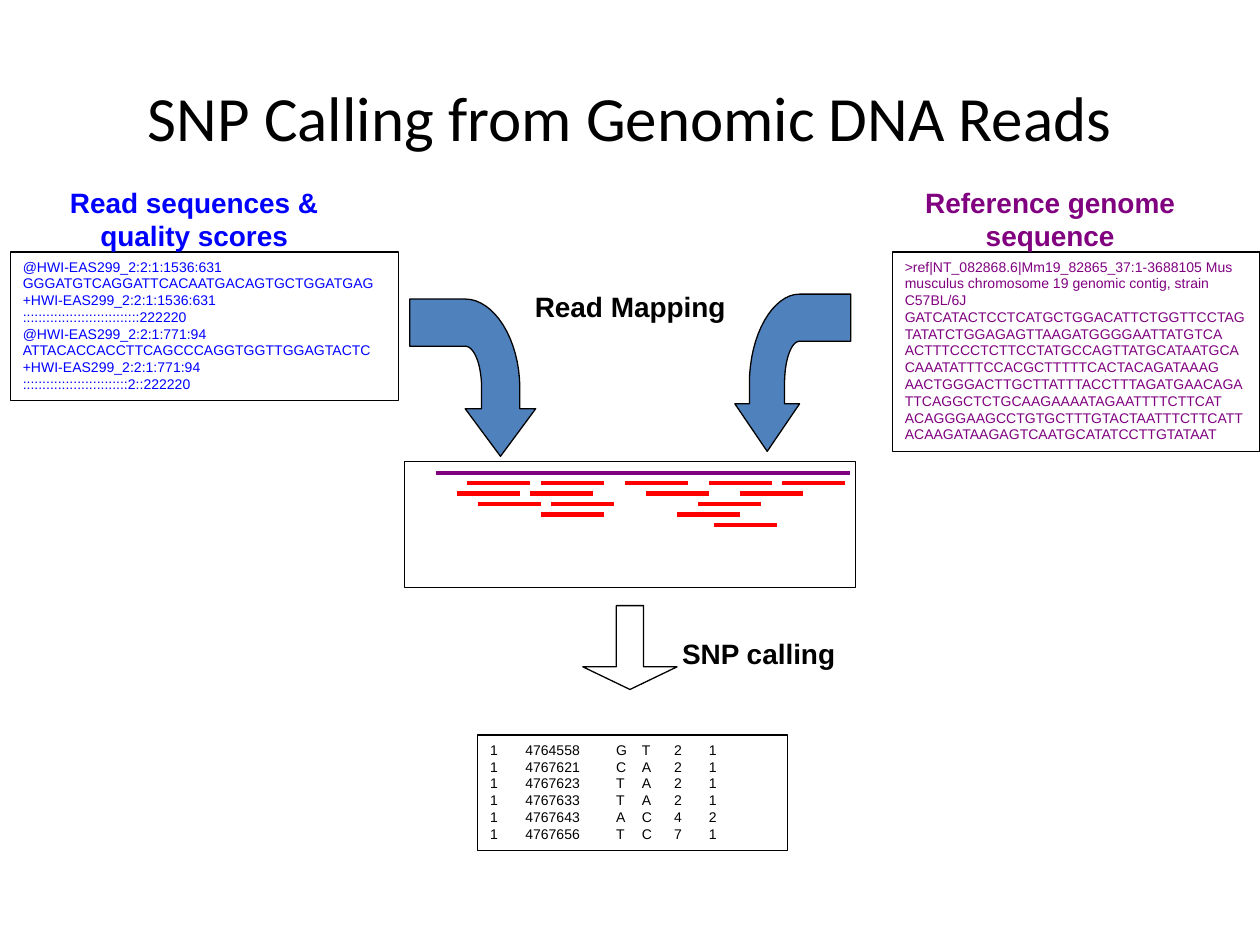
from dataclasses import dataclass

from lxml.etree import SubElement
from pptx import Presentation
from pptx.dml.color import RGBColor
from pptx.enum.shapes import MSO_CONNECTOR, MSO_SHAPE
from pptx.enum.text import MSO_ANCHOR, PP_ALIGN
from pptx.oxml.ns import qn
from pptx.util import Cm, Pt


@dataclass(frozen=True)
class Theme:
    black: RGBColor = RGBColor(0, 0, 0)
    white: RGBColor = RGBColor(255, 255, 255)
    reads: RGBColor = RGBColor(0, 0, 255)
    genome: RGBColor = RGBColor(128, 0, 128)
    mapped: RGBColor = RGBColor(255, 0, 0)
    arrow: RGBColor = RGBColor(0x4F, 0x81, 0xBD)
    title_font: str = "Calibri"
    body_font: str = "Arial"
    title_size: float = 36
    label_size: float = 16
    data_size: float = 8
    outline: float = 0.75
    strand: float = 2.5


@dataclass(frozen=True)
class Area:
    left: float
    top: float
    width: float
    height: float

    def lengths(self) -> tuple:
        return Cm(self.left), Cm(self.top), Cm(self.width), Cm(self.height)


@dataclass(frozen=True)
class Label:
    area: Area
    lines: tuple
    color: RGBColor


@dataclass(frozen=True)
class DataBox:
    area: Area
    lines: tuple
    color: RGBColor
    tabs: tuple = ()


@dataclass(frozen=True)
class BentArrow:
    left: float
    top: float
    stretch: float


THEME = Theme()

LABELS = (
    Label(Area(1.07, 3.61, 5.69, 1.63), ("Read sequences &", "quality scores"), THEME.reads),
    Label(Area(16.94, 3.61, 8.46, 1.63), ("Reference genome", "sequence"), THEME.genome),
    Label(Area(10.52, 5.72, 4.37, 0.94), ("Read Mapping",), THEME.black),
    Label(Area(13.49, 12.7, 3.61, 0.94), ("SNP calling",), THEME.black),
)

SNPS = (
    ("1", "4764558", "G", "T", "2", "1"),
    ("1", "4767621", "C", "A", "2", "1"),
    ("1", "4767623", "T", "A", "2", "1"),
    ("1", "4767633", "T", "A", "2", "1"),
    ("1", "4767643", "A", "C", "4", "2"),
    ("1", "4767656", "T", "C", "7", "1"),
)

DATA_BOXES = (
    DataBox(Area(0.21, 5.08, 7.83, 3.0), (
        "@HWI-EAS299_2:2:1:1536:631",
        "GGGATGTCAGGATTCACAATGACAGTGCTGGATGAG",
        "+HWI-EAS299_2:2:1:1536:631",
        "::::::::::::::::::::::::::::::222220",
        "@HWI-EAS299_2:2:1:771:94",
        "ATTACACCACCTTCAGCCCAGGTGGTTGGAGTACTC",
        "+HWI-EAS299_2:2:1:771:94",
        ":::::::::::::::::::::::::::2::222220",
    ), THEME.reads),
    DataBox(Area(17.99, 5.08, 7.41, 4.02), (
        ">ref|NT_082868.6|Mm19_82865_37:1-3688105 Mus musculus chromosome 19 genomic contig, strain C57BL/6J",
        "GATCATACTCCTCATGCTGGACATTCTGGTTCCTAGTATATCTGGAGAGTTAAGATGGGGAATTATGTCA",
        "ACTTTCCCTCTTCCTATGCCAGTTATGCATAATGCACAAATATTTCCACGCTTTTTCACTACAGATAAAG",
        "AACTGGGACTTGCTTATTTACCTTTAGATGAACAGATTCAGGCTCTGCAAGAAAATAGAATTTTCTTCAT",
        "ACAGGGAAGCCTGTGCTTTGTACTAATTTCTTCATTACAAGATAAGAGTCAATGCATATCCTTGTATAAT",
    ), THEME.genome),
    DataBox(Area(9.63, 14.82, 6.25, 2.32), tuple("\t".join(snp) for snp in SNPS),
            THEME.black, (0.71, 2.54, 3.06, 3.71, 4.41)),
)

READ_ROWS = (
    (9.42, 10.9, 12.59, 14.29, 15.77),
    (9.21, 10.69, 13.02, 14.92),
    (9.63, 11.11, 14.08),
    (10.9, 13.65),
    (14.39,),
)
READ_LENGTH = 1.27
ROW_STEP = 0.21
GENOME_Y = 9.53

BENT_ARROWS = (BentArrow(8.26, 6.03, 1), BentArrow(17.15, 5.93, -0.92))


def write_lines(box, lines: tuple, font: str, size: float, color: RGBColor,
                bold: bool = False, align=PP_ALIGN.LEFT, tabs: tuple = ()) -> None:
    frame = box.text_frame
    for index, line in enumerate(lines):
        para = frame.paragraphs[0] if index == 0 else frame.add_paragraph()
        para.alignment = align
        if tabs:
            stops = SubElement(para._p.get_or_add_pPr(), qn("a:tabLst"))
            for position in tabs:
                SubElement(stops, qn("a:tab"), pos=str(Cm(position)), algn="l")
        span = para.add_run()
        span.text = line
        span.font.name = font
        span.font.size = Pt(size)
        span.font.bold = bold
        span.font.color.rgb = color


def style_shape(shape, fill: RGBColor | None) -> None:
    shape.shadow.inherit = False
    if fill is None:
        shape.fill.background()
    else:
        shape.fill.solid()
        shape.fill.fore_color.rgb = fill
    shape.line.color.rgb = THEME.black
    shape.line.width = Pt(THEME.outline)


def add_outlined(page, kind, area: Area, fill: RGBColor | None = None):
    shape = page.shapes.add_shape(kind, *area.lengths())
    style_shape(shape, fill)
    return shape


def add_title(page, text: str) -> None:
    box = page.shapes.add_textbox(*Area(1.27, 0.76, 22.86, 3.18).lengths())
    box.text_frame.word_wrap = True
    box.text_frame.vertical_anchor = MSO_ANCHOR.MIDDLE
    write_lines(box, (text,), THEME.title_font, THEME.title_size, THEME.black, align=PP_ALIGN.CENTER)


def add_label(page, label: Label) -> None:
    box = page.shapes.add_textbox(*label.area.lengths())
    box.text_frame.word_wrap = False
    write_lines(box, label.lines, THEME.body_font, THEME.label_size, label.color, True, PP_ALIGN.CENTER)


def add_data_box(page, data: DataBox) -> None:
    box = add_outlined(page, MSO_SHAPE.RECTANGLE, data.area, THEME.white)
    box.text_frame.word_wrap = True
    box.text_frame.vertical_anchor = MSO_ANCHOR.TOP
    write_lines(box, data.lines, THEME.body_font, THEME.data_size, data.color, tabs=data.tabs)


def add_strand(page, left: float, y: float, length: float, color: RGBColor) -> None:
    strand = page.shapes.add_connector(MSO_CONNECTOR.STRAIGHT, Cm(left), Cm(y), Cm(left + length), Cm(y))
    strand.line.color.rgb = color
    strand.line.width = Pt(THEME.strand)
    SubElement(strand._element.spPr, qn("a:effectLst"))


def curve(start: tuple, first: tuple, second: tuple, end: tuple, steps: int = 16) -> list:
    points = []
    for step in range(steps + 1):
        t = step / steps
        weights = ((1 - t) ** 3, 3 * t * (1 - t) ** 2, 3 * t * t * (1 - t), t ** 3)
        corners = (start, first, second, end)
        points.append(tuple(sum(w * c[axis] for w, c in zip(weights, corners)) for axis in (0, 1)))
    return points


def add_bent_arrow(page, arrow: BentArrow) -> None:
    outer = curve((1.12, 0), (1.7, 0), (2.22, 0.81), (2.22, 1.8))
    head = [(2.22, 2.21), (2.54, 2.21), (1.83, 3.17), (1.12, 2.21), (1.45, 2.21)]
    inner = curve((1.45, 1.8), (1.45, 1.32), (1.3, 0.95), (1.12, 0.95))
    outline = [(0, 0), *outer, *head, *inner, (0, 0.95)]
    points = [(Cm(arrow.left + x * arrow.stretch), Cm(arrow.top + y)) for x, y in outline]
    builder = page.shapes.build_freeform(*points[0])
    builder.add_line_segments(points[1:], close=True)
    style_shape(builder.convert_to_shape(), THEME.arrow)


def main() -> None:
    deck = Presentation()
    deck.slide_width, deck.slide_height = Cm(25.4), Cm(19.05)
    page = deck.slides.add_slide(deck.slide_layouts[6])

    add_title(page, "SNP Calling from Genomic DNA Reads")
    add_strand(page, 8.78, GENOME_Y, 8.36, THEME.genome)
    for row, lefts in enumerate(READ_ROWS, start=1):
        for left in lefts:
            add_strand(page, left, GENOME_Y + row * ROW_STEP, READ_LENGTH, THEME.mapped)
    add_outlined(page, MSO_SHAPE.RECTANGLE, Area(8.15, 9.31, 9.1, 2.54))
    for data in DATA_BOXES:
        add_data_box(page, data)
    for label in LABELS:
        add_label(page, label)
    calling = add_outlined(page, MSO_SHAPE.DOWN_ARROW, Area(11.75, 12.21, 1.9, 1.69))
    calling.adjustments[0], calling.adjustments[1] = 0.29, 0.27
    for arrow in BENT_ARROWS:
        add_bent_arrow(page, arrow)

    deck.save("out.pptx")


if __name__ == "__main__":
    main()
